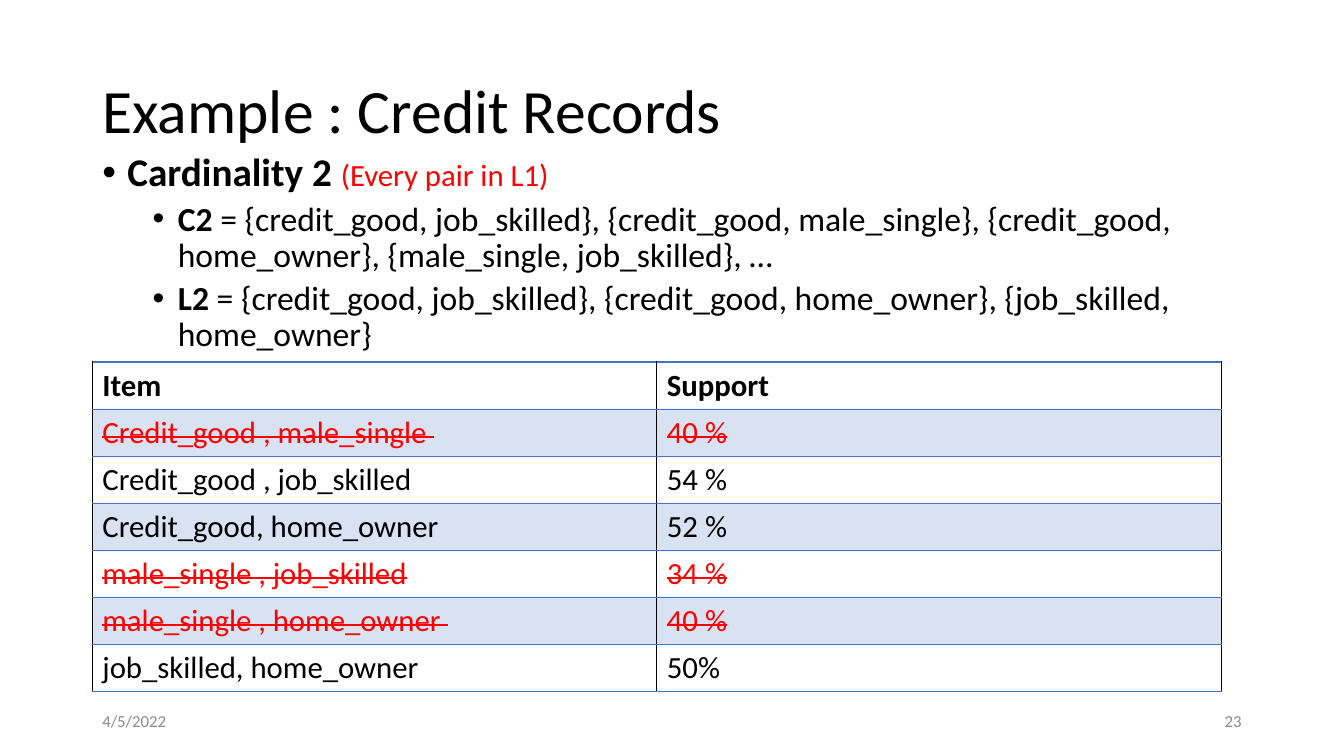
from lxml.etree import SubElement
from pptx import Presentation
from pptx.dml.color import RGBColor
from pptx.enum.text import MSO_ANCHOR, PP_ALIGN
from pptx.oxml import parse_xml
from pptx.oxml.ns import nsdecls, qn
from pptx.util import Inches, Pt

COLS, ROWS = 160, 90
UNIT = Inches(1) / 12
MARGIN, CONTENT_W = 11, 138
BLACK, RED, BLUE, GRAY = "000000", "FF0000", "4472C4", "8B8B8B"

BULLETS = [
    (0, [("Cardinality 2 ", dict(size=28, bold=True)),
         ("(Every pair in L1)", dict(size=22, color=RED))]),
    (1, [("C2", dict(size=24, bold=True)),
         (" = {credit_good, job_skilled}, {credit_good, male_single}, "
          "{credit_good, home_owner}, {male_single, job_skilled}, …", dict(size=24))]),
    (1, [("L2", dict(size=24, bold=True)),
         (" = {credit_good, job_skilled}, {credit_good, home_owner}, "
          "{job_skilled, home_owner}", dict(size=24))]),
]

SUPPORT = [
    ("Item", "Support", False),
    ("Credit_good , male_single ", "40 %", True),
    ("Credit_good , job_skilled", "54 %", False),
    ("Credit_good, home_owner", "52 %", False),
    ("male_single , job_skilled", "34 %", True),
    ("male_single , home_owner ", "40 %", True),
    ("job_skilled, home_owner", "50%", False),
]


def grid(*cells):
    return [round(c * UNIT) for c in cells]


def rgb(value):
    return RGBColor.from_string(value)


def add_text(p, text, size=22, color=BLACK, bold=False, strike=False):
    r = p.add_run()
    r.text = text
    r.font.name = "Calibri"
    r.font.size = Pt(size)
    r.font.bold = bold
    r.font.color.rgb = rgb(color)
    if strike:
        r._r.get_or_add_rPr().set("strike", "sngStrike")


def add_box(s, col, row, width, height, anchor=MSO_ANCHOR.MIDDLE):
    tf = s.shapes.add_textbox(*grid(col, row, width, height)).text_frame
    tf.word_wrap = True
    tf.vertical_anchor = anchor
    return tf


def add_line(s, col, row, width, height, text, align=PP_ALIGN.LEFT, spacing=1.0, **fmt):
    p = add_box(s, col, row, width, height).paragraphs[0]
    p.alignment = align
    p.line_spacing = spacing
    add_text(p, text, **fmt)


def set_bullet(p, level):
    p.level = level
    p.line_spacing = 0.9
    p.space_before = Pt(5 if level else 10)
    pPr = p._p.get_or_add_pPr()
    pPr.set("marL", str(Inches(0.25 + 0.5 * level)))
    pPr.set("indent", str(-Inches(0.25)))
    color = SubElement(pPr, qn("a:buClr"))
    SubElement(color, qn("a:srgbClr")).set("val", BLACK)
    SubElement(pPr, qn("a:buFont")).set("typeface", "Arial")
    SubElement(pPr, qn("a:buChar")).set("char", "•")


def add_bullets(s, col, row, width, height, items):
    tf = add_box(s, col, row, width, height, MSO_ANCHOR.TOP)
    for i, (level, runs) in enumerate(items):
        p = tf.add_paragraph() if i else tf.paragraphs[0]
        set_bullet(p, level)
        for text, fmt in runs:
            add_text(p, text, **fmt)


def set_borders(cell):
    tcPr = cell._tc.get_or_add_tcPr()
    sides = [("lnL", BLACK), ("lnR", BLACK), ("lnT", BLUE), ("lnB", BLUE)]
    for i, (side, color) in enumerate(sides):
        tcPr.insert(i, parse_xml(
            f'<a:{side} {nsdecls("a")} w="{Pt(0.96)}"><a:solidFill>'
            f'<a:srgbClr val="{color}"/></a:solidFill></a:{side}>'))


def set_band(cell, banded):
    if not banded:
        cell.fill.background()
        return
    cell.fill.solid()
    cell.fill.fore_color.rgb = rgb(BLUE)
    color = cell._tc.tcPr.find(".//" + qn("a:srgbClr"))
    SubElement(color, qn("a:alpha")).set("val", "20000")


def add_support_table(s, col, row, width, height, records):
    table = s.shapes.add_table(len(records), 2, *grid(col, row, width, height)).table
    table.first_row = table.horz_banding = False
    for i, (item, support, dropped) in enumerate(records):
        for j, text in enumerate((item, support)):
            cell = table.cell(i, j)
            set_band(cell, i % 2 == 1)
            set_borders(cell)
            add_text(cell.text_frame.paragraphs[0], text, bold=i == 0,
                     color=RED if dropped else BLACK, strike=dropped)


def main():
    prs = Presentation()
    prs.slide_width, prs.slide_height = grid(COLS, ROWS)
    s = prs.slides.add_slide(prs.slide_layouts[6])
    add_line(s, MARGIN, 4.8, CONTENT_W, 17.4, "Example : Credit Records",
             spacing=0.9, size=44)
    add_bullets(s, MARGIN, 17.6, CONTENT_W, 63.5, BULLETS)
    add_support_table(s, MARGIN, 43.1, 134.4, 39.2, SUPPORT)
    add_line(s, MARGIN, 83.4, 36, 4.8, "4/5/2022", size=12, color=GRAY)
    add_line(s, MARGIN + CONTENT_W - 36, 83.4, 36, 4.8, "23",
             align=PP_ALIGN.RIGHT, size=12, color=GRAY)
    prs.save("out.pptx")


if __name__ == "__main__":
    main()
